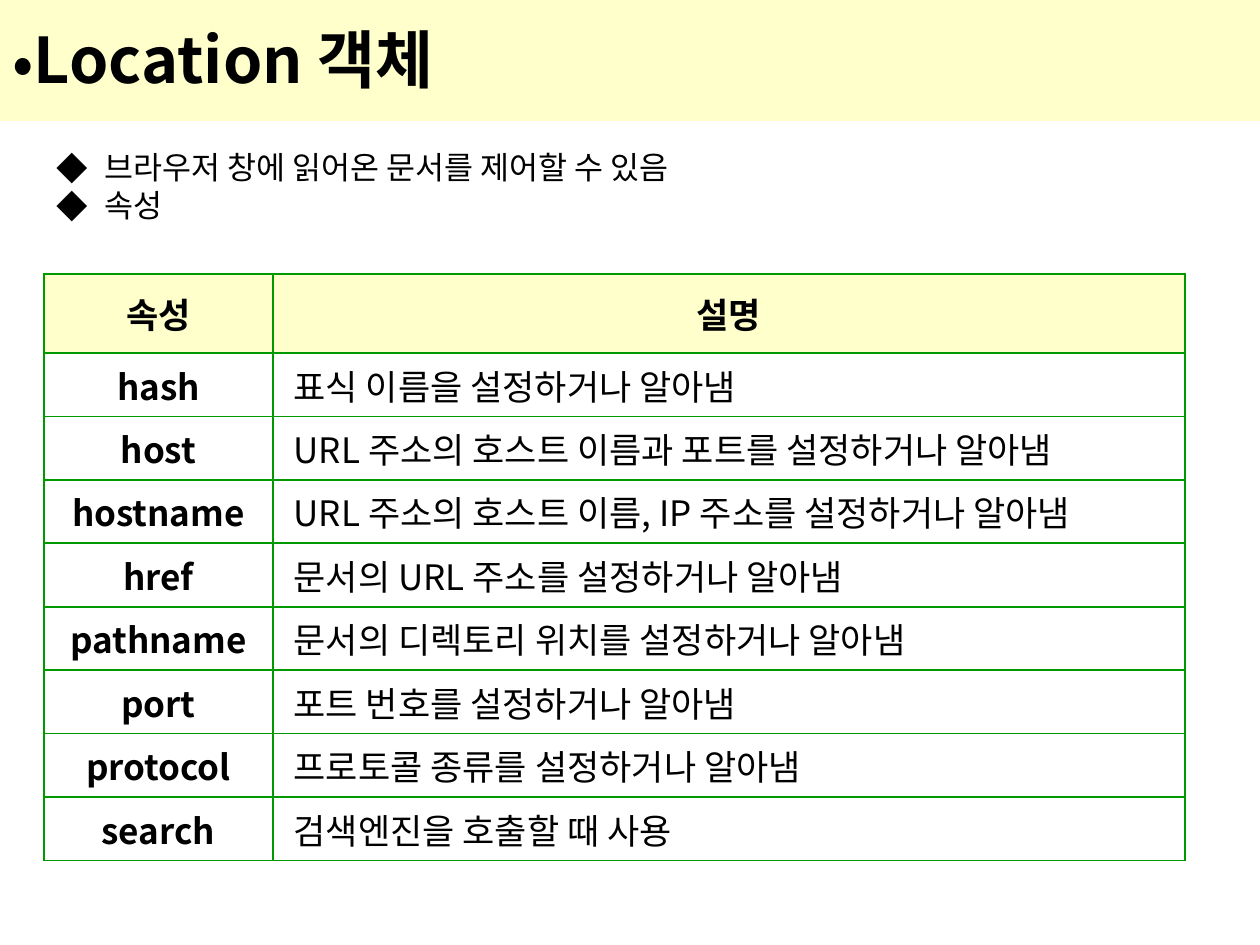
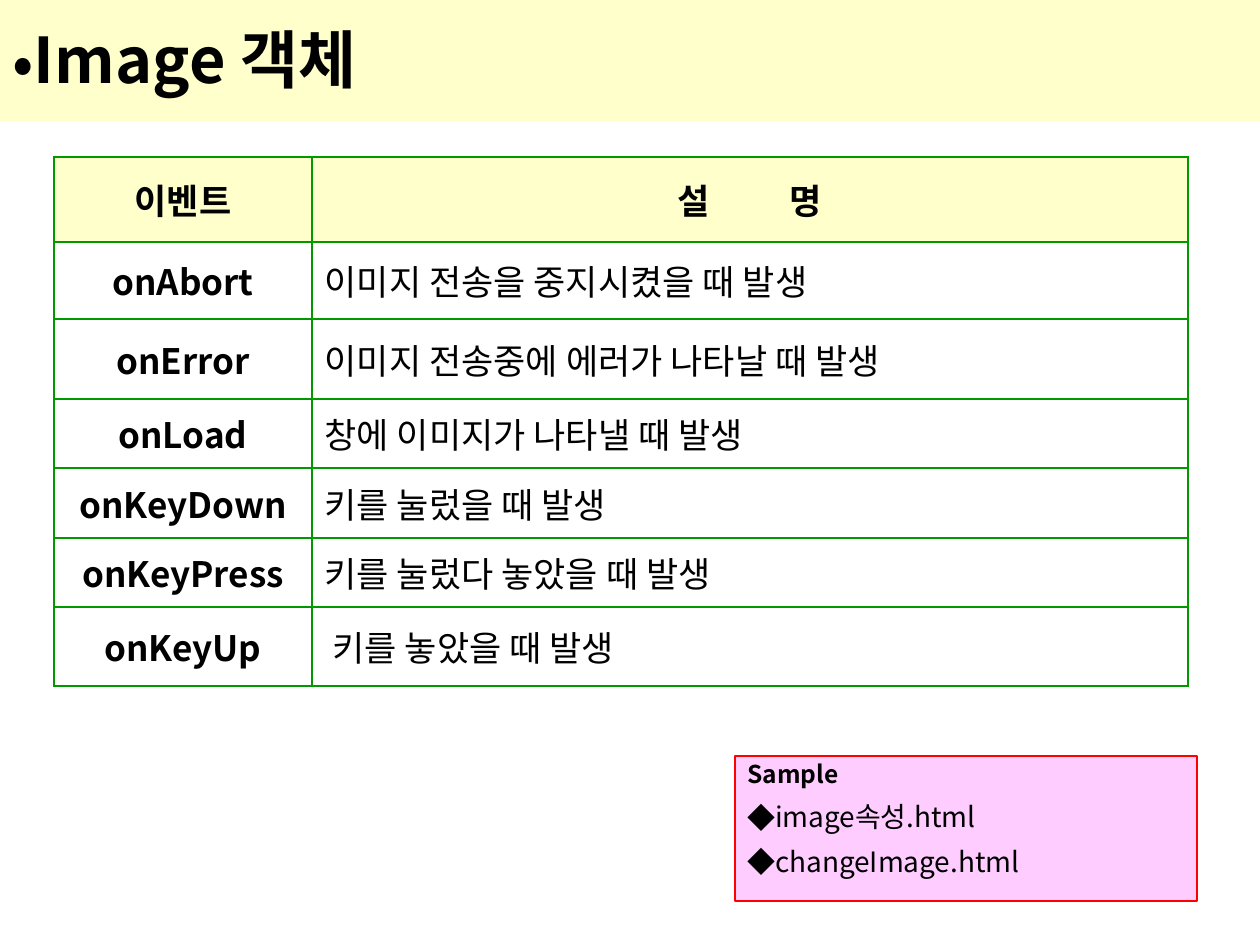
from dataclasses import dataclass

from lxml.etree import SubElement
from pptx import Presentation
from pptx.dml.color import RGBColor
from pptx.enum.shapes import MSO_SHAPE
from pptx.enum.text import MSO_ANCHOR, MSO_AUTO_SIZE, PP_ALIGN
from pptx.oxml import parse_xml
from pptx.oxml.ns import nsdecls, qn
from pptx.util import Emu, Pt


@dataclass(frozen=True)
class Theme:
    font: str = "Noto Sans CJK KR"
    ink: str = "000000"
    band: str = "FFFFCC"
    grid: str = "009900"
    sample_fill: str = "FFCCFF"
    sample_line: str = "FF0000"
    title_size: int = 36
    body_size: int = 18
    table_size: int = 20
    sample_size: int = 16
    sample_title_size: int = 14
    grid_width: float = 1.08
    header_gap: int = 41


THEME = Theme()
SLIDE_BOX = (0, 0, 1260, 945)
TITLE_BOX = (0, -4, 1260, 125)
LAYOUT_TITLE_CONTENT, LAYOUT_TITLE_ONLY = 1, 5
CELL_INDENT = 8

LOCATION_NOTES = ["브라우저 창에 읽어온 문서를 제어할 수 있음", "속성"]
LOCATION_ROWS = [
    ("속성", "설명"),
    ("hash", "표식 이름을 설정하거나 알아냄"),
    ("host", "URL 주소의 호스트 이름과 포트를 설정하거나 알아냄"),
    ("hostname", "URL 주소의 호스트 이름, IP 주소를 설정하거나 알아냄"),
    ("href", "문서의 URL 주소를 설정하거나 알아냄"),
    ("pathname", "문서의 디렉토리 위치를 설정하거나 알아냄"),
    ("port", "포트 번호를 설정하거나 알아냄"),
    ("protocol", "프로토콜 종류를 설정하거나 알아냄"),
    ("search", "검색엔진을 호출할 때 사용"),
]
EVENT_ROWS = [
    ("이벤트", "설 명"),
    ("onAbort", "이미지 전송을 중지시켰을 때 발생"),
    ("onError", "이미지 전송중에 에러가 나타날 때 발생"),
    ("onLoad", "창에 이미지가 나타낼 때 발생"),
    ("onKeyDown", "키를 눌렀을 때 발생"),
    ("onKeyPress", "키를 눌렀다 놓았을 때 발생"),
    ("onKeyUp", "키를 놓았을 때 발생"),
]


# Shared helpers
def px(length):
    return Emu(round(length * 914400 / 126))


def color(value):
    return RGBColor.from_string(value)


def place(shape, box):
    shape.left, shape.top, shape.width, shape.height = map(px, box)


def add_bullet(para, char, hang=0):
    props = para._p.get_or_add_pPr()
    props.set("marL", str(px(hang)))
    props.set("indent", str(px(-hang)))
    SubElement(props, qn("a:buFont")).set("typeface", THEME.font)
    SubElement(props, qn("a:buChar")).set("char", char)


def style(para, size, bold=False, align=PP_ALIGN.LEFT):
    para.alignment = align
    font = para.font
    font.name, font.size, font.bold = THEME.font, Pt(size), bold
    font.color.rgb = color(THEME.ink)
    # Korean text takes its typeface from the East Asian slot
    defaults = para._p.pPr.find(qn("a:defRPr"))
    SubElement(defaults, qn("a:ea")).set("typeface", THEME.font)


def add_lines(frame, lines):
    frame.text = "\n".join(lines)
    return frame.paragraphs


# Title band
def add_title(page, text):
    title = page.shapes.title
    place(title, TITLE_BOX)
    title.fill.solid()
    title.fill.fore_color.rgb = color(THEME.band)
    frame = title.text_frame
    frame.auto_size = MSO_AUTO_SIZE.NONE
    frame.vertical_anchor = MSO_ANCHOR.MIDDLE
    para = add_lines(frame, [text])[0]
    add_bullet(para, "•")
    style(para, THEME.title_size, bold=True)


# Bulleted notes
def add_notes_list(page, box, lines):
    body = page.placeholders[1]
    place(body, box)
    frame = body.text_frame
    frame.auto_size = MSO_AUTO_SIZE.NONE
    frame.margin_top = px(10)
    for index, para in enumerate(add_lines(frame, lines)):
        para.line_spacing = 0.8
        para.space_before = Pt(4.5 if index else 0)
        add_bullet(para, "◆", hang=48)
        style(para, THEME.body_size)


# Reference table
def add_borders(cell):
    props = cell._tc.get_or_add_tcPr()
    for index, side in enumerate(("lnL", "lnR", "lnT", "lnB")):
        props.insert(index, parse_xml(
            f'<a:{side} {nsdecls("a")} w="{Pt(THEME.grid_width)}"><a:solidFill>'
            f'<a:srgbClr val="{THEME.grid}"/></a:solidFill></a:{side}>'))


def add_reference_table(page, box, columns, heights, rows, indented):
    left, top = box
    table = page.shapes.add_table(
        len(rows), len(columns), px(left), px(top),
        px(sum(columns)), px(sum(heights))).table
    table.horz_banding = False
    for column, width in zip(table.columns, columns):
        column.width = px(width)
    for row_index, (row, height) in enumerate(zip(rows, heights)):
        table.rows[row_index].height = px(height)
        header = row_index == 0
        for column_index, text in enumerate(row):
            cell = table.cell(row_index, column_index)
            cell.vertical_anchor = MSO_ANCHOR.MIDDLE
            if header:
                cell.fill.solid()
                cell.fill.fore_color.rgb = color(THEME.band)
            else:
                cell.fill.background()
            add_borders(cell)
            centred = header or column_index == 0
            if not centred and row[0] in indented:
                cell.margin_left += px(CELL_INDENT)
            para = add_lines(cell.text_frame, [text])[0]
            style(para, THEME.table_size, centred,
                  PP_ALIGN.CENTER if centred else PP_ALIGN.LEFT)
    return table


def widen_space(cell, points):
    """Spread the two words of a heading by tracking the space between them."""
    para = cell.text_frame.paragraphs[0]
    first, last = para.runs[0].text.split()
    para.runs[0].text = first
    for text in (" ", last):
        span = para.add_run()
        span.text = text
    para.runs[1]._r.get_or_add_rPr().set("spc", str(points * 100))


# Sample file box
def add_sample_box(page, box, heading, files):
    panel = page.shapes.add_shape(MSO_SHAPE.RECTANGLE, *map(px, box))
    panel.shadow.inherit = False
    panel.fill.solid()
    panel.fill.fore_color.rgb = color(THEME.sample_fill)
    panel.line.color.rgb = color(THEME.sample_line)
    panel.line.width = Pt(0.75)
    frame = panel.text_frame
    frame.word_wrap = True
    frame.vertical_anchor = MSO_ANCHOR.TOP
    title, *items = add_lines(frame, [heading, *files])
    title.line_spacing = 0.9
    style(title, THEME.sample_title_size, bold=True)
    for para in items:
        para.line_spacing = 0.8
        para.space_before = Pt(10)
        add_bullet(para, "◆")
        style(para, THEME.sample_size)


# Slides
def build_location_page(deck):
    page = deck.slides.add_slide(deck.slide_layouts[LAYOUT_TITLE_CONTENT])
    add_title(page, "Location 객체")
    add_notes_list(page, (44, 145, 1160, 149), LOCATION_NOTES)
    names = [name for name, _ in LOCATION_ROWS]
    add_reference_table(page, (44, 274), (229, 912), [79] + [56] * 8,
                        LOCATION_ROWS, indented=names)


def build_image_page(deck):
    page = deck.slides.add_slide(deck.slide_layouts[LAYOUT_TITLE_ONLY])
    add_title(page, "Image 객체")
    table = add_reference_table(page, (54, 157), (258, 876),
                                [85, 77, 80, 69, 70, 69, 79],
                                EVENT_ROWS, indented=["onKeyUp"])
    widen_space(table.cell(0, 1), THEME.header_gap)
    add_sample_box(page, (735, 756, 462, 145), "Sample",
                   ["image속성.html", "changeImage.html"])


def main():
    deck = Presentation()
    deck.slide_width, deck.slide_height = map(px, SLIDE_BOX[2:])
    build_location_page(deck)
    build_image_page(deck)
    deck.save("out.pptx")


if __name__ == "__main__":
    main()
